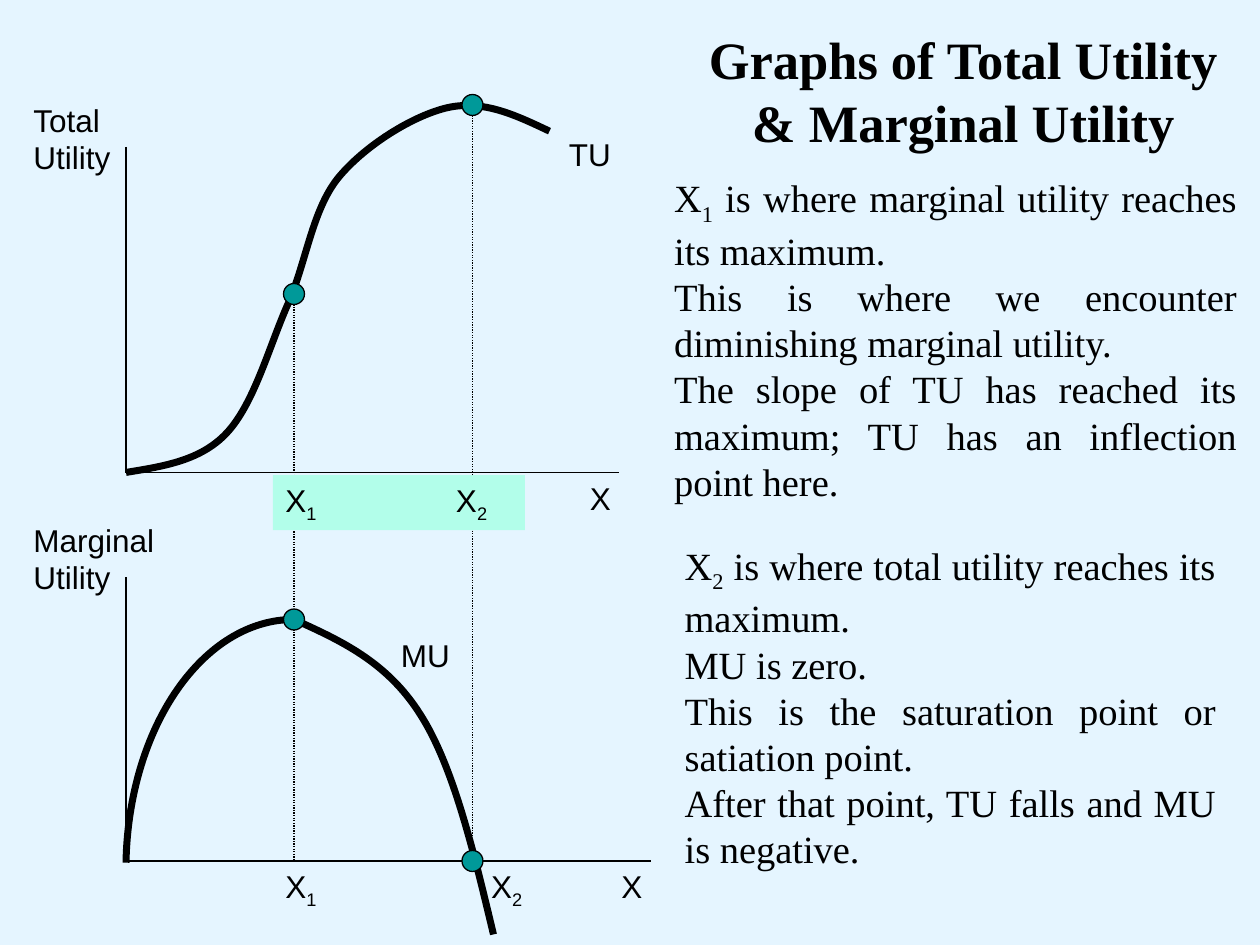
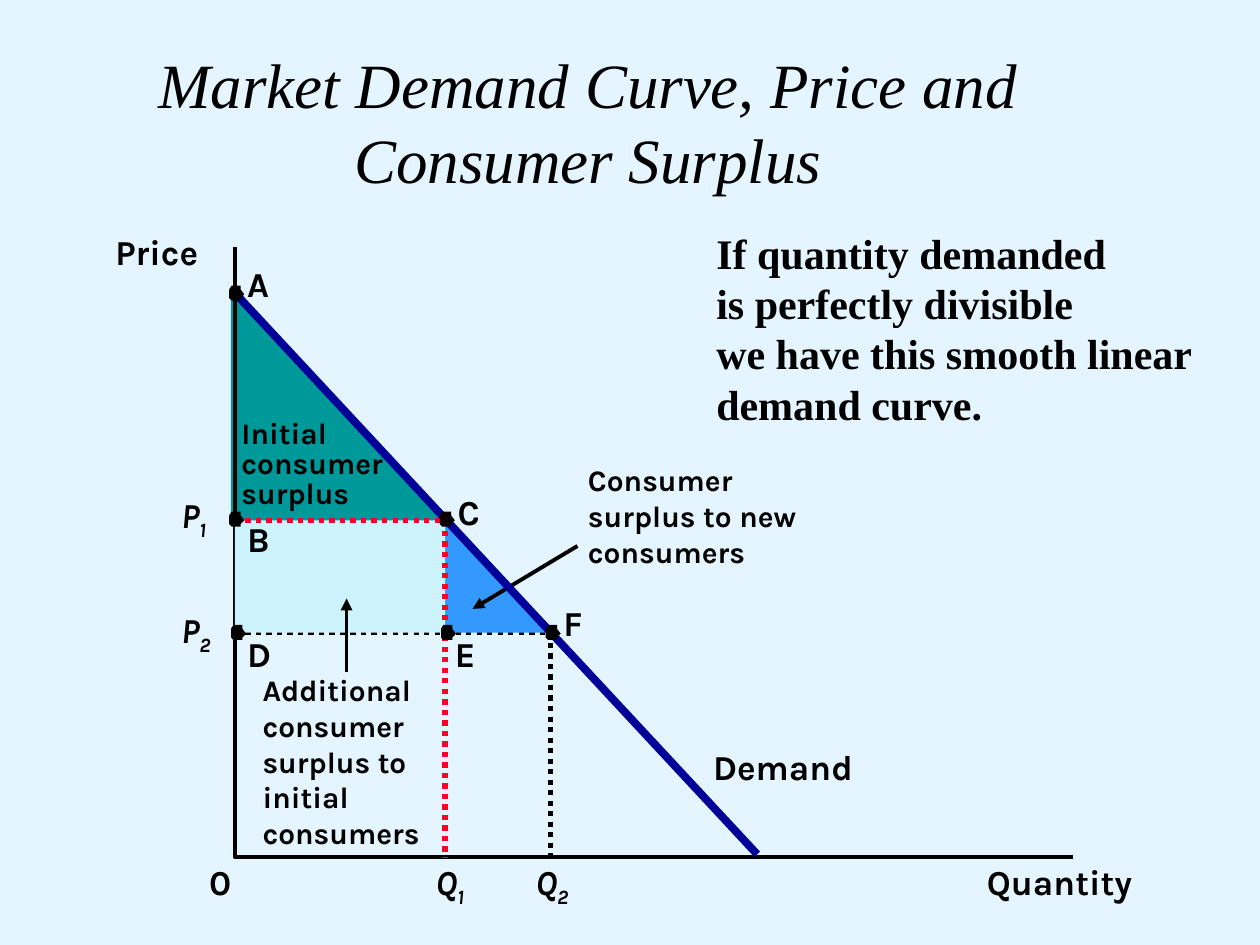
from dataclasses import dataclass

from lxml import etree
from pptx import Presentation
from pptx.dml.color import RGBColor
from pptx.enum import dml, shapes, text
from pptx.oxml import ns
from pptx.util import Pt

BLACK = RGBColor(0x00, 0x00, 0x00)
SKY = RGBColor(0xE5, 0xF5, 0xFF)
MINT = RGBColor(0xB2, 0xFE, 0xEA)
TEAL = RGBColor(0x00, 0x99, 0x99)
BLUE = RGBColor(0x33, 0x99, 0xFF)
PALE_BLUE = RGBColor(0xCD, 0xF3, 0xFF)
NAVY = RGBColor(0x00, 0x00, 0x99)
RED = RGBColor(0xFC, 0x01, 0x28)

Point = tuple[float, float]


@dataclass(frozen=True)
class Style:
    font: str
    size: float
    bold: bool = False
    italic: bool = False
    align: text.PP_ALIGN = text.PP_ALIGN.LEFT
    spacing: float = 1.0
    inset: tuple[float, float] = (7.2, 3.6)


@dataclass(frozen=True)
class Label:
    """Text at a place; "_" makes the next character a subscript."""
    lines: tuple[str, ...]
    left: float
    top: float
    width: float
    height: float
    style: Style
    wrap: bool = True
    tab: float = 0


@dataclass(frozen=True)
class Stroke:
    color: RGBColor
    width: float
    dotted: bool = False


SERIF = "Times New Roman"
BOLD_TITLE = Style(SERIF, 30, bold=True, align=text.PP_ALIGN.CENTER)
ITALIC_TITLE = Style(SERIF, 36, italic=True, align=text.PP_ALIGN.CENTER)
BODY = Style(SERIF, 22, align=text.PP_ALIGN.JUSTIFY)
REMARK = Style(SERIF, 24, bold=True)
GRAPH = Style("Arial", 18)
MARK = Style("Karla", 20, bold=True, inset=(0, 0))
VARIABLE = Style("Karla", 20, bold=True, italic=True, inset=(0, 0))
AREA = Style("Karla", 17, bold=True, inset=(0, 0))
TIGHT_AREA = Style("Karla", 17, bold=True, spacing=0.85, inset=(0, 0))

HAIRLINE = Stroke(BLACK, 0.75)
GUIDE = Stroke(BLACK, 0.75, dotted=True)
CURVE = Stroke(BLACK, 4)
AXIS = Stroke(BLACK, 2.25)


def add_span(para, content: str, style: Style, subscript: bool = False) -> None:
    span = para.add_run()
    span.text = content
    font = span.font
    font.name, font.size = style.font, Pt(style.size)
    font.bold, font.italic = style.bold, style.italic
    font.color.rgb = BLACK
    if subscript:
        span._r.get_or_add_rPr().set("baseline", "-25000")


def write(box, label: Label) -> None:
    style, frame = label.style, box.text_frame
    frame.word_wrap = label.wrap
    frame.margin_left = frame.margin_right = Pt(style.inset[0])
    frame.margin_top = frame.margin_bottom = Pt(style.inset[1])
    fit = text.MSO_AUTO_SIZE
    frame.auto_size = fit.NONE if label.wrap else fit.SHAPE_TO_FIT_TEXT
    for index, line in enumerate(label.lines):
        para = frame.add_paragraph() if index else frame.paragraphs[0]
        para.alignment, para.line_spacing = style.align, style.spacing
        if box.is_placeholder:
            para.space_before = Pt(0)
            properties = para._p.get_or_add_pPr()
            properties.set("marL", "0")
            properties.set("indent", "0")
            etree.SubElement(properties, ns.qn("a:buNone"))
        if label.tab:
            stops = etree.SubElement(para._p.get_or_add_pPr(), ns.qn("a:tabLst"))
            etree.SubElement(stops, ns.qn("a:tab"), pos=str(Pt(label.tab)), algn="l")
        first, *rest = line.split("_")
        if first:
            add_span(para, first, style)
        for part in rest:
            add_span(para, part[0], style, subscript=True)
            if part[1:]:
                add_span(para, part[1:], style)


def add_label(page, label: Label) -> None:
    write(page.shapes.add_textbox(
        Pt(label.left), Pt(label.top), Pt(label.width), Pt(label.height)), label)


def fill_placeholder(box, label: Label, anchor: text.MSO_ANCHOR) -> None:
    box.left, box.top = Pt(label.left), Pt(label.top)
    box.width, box.height = Pt(label.width), Pt(label.height)
    box.text_frame.vertical_anchor = anchor
    write(box, label)


def apply_stroke(line, stroke: Stroke) -> None:
    line.color.rgb, line.width = stroke.color, Pt(stroke.width)
    if stroke.dotted:
        line.dash_style = dml.MSO_LINE.ROUND_DOT


def paint(shape, fill: RGBColor | None, stroke: Stroke | None) -> None:
    shape.shadow.inherit = False
    if fill is None:
        shape.fill.background()
    else:
        shape.fill.solid()
        shape.fill.fore_color.rgb = fill
    if stroke is None:
        shape.line.fill.background()
    else:
        apply_stroke(shape.line, stroke)


def add_preset(page, kind, left: float, top: float, width: float, height: float,
               fill: RGBColor, stroke: Stroke | None = None):
    shape = page.shapes.add_shape(kind, Pt(left), Pt(top), Pt(width), Pt(height))
    paint(shape, fill, stroke)
    return shape


def add_line(page, start: Point, end: Point, stroke: Stroke, arrow: bool = False) -> None:
    line = page.shapes.add_connector(
        shapes.MSO_CONNECTOR.STRAIGHT, *(Pt(value) for value in start + end))
    apply_stroke(line.line, stroke)
    if arrow:
        etree.SubElement(line.line._get_or_add_ln(), ns.qn("a:tailEnd"), type="triangle")
    etree.SubElement(line._element.spPr, ns.qn("a:effectLst"))


def add_outline(page, points: list[Point], fill: RGBColor | None = None,
                stroke: Stroke | None = None):
    corners = [(Pt(x), Pt(y)) for x, y in points]
    builder = page.shapes.build_freeform(*corners[0])
    builder.add_line_segments(corners[1:], close=fill is not None)
    shape = builder.convert_to_shape()
    paint(shape, fill, stroke)
    return shape


def add_curve(page, nodes: list[Point], stroke: Stroke) -> None:
    """Draw cubic curves: a start, then two handles and an end for each curve."""
    shape = add_outline(page, nodes, stroke=stroke)
    segments = list(shape._element.iter(ns.qn("a:lnTo")))
    for first in range(0, len(segments), 3):
        cubic = etree.Element(ns.qn("a:cubicBezTo"))
        segments[first].addprevious(cubic)
        for segment in segments[first:first + 3]:
            cubic.append(segment[0])
            segment.getparent().remove(segment)


def build_utility_page(deck) -> None:
    page = deck.slides.add_slide(deck.slide_layouts[3])
    title, upper, lower = page.placeholders
    top = text.MSO_ANCHOR.TOP
    fill_placeholder(title, Label(("Graphs of Total Utility & Marginal Utility",),
                                  387, 12, 327, 79, BOLD_TITLE), top)
    fill_placeholder(upper, Label((
        "X_1 is where marginal utility reaches its maximum.",
        "This is where we encounter diminishing marginal utility.",
        "The slope of TU has reached its maximum; TU has an inflection point here.",
    ), 378, 96, 336, 196, BODY), top)
    fill_placeholder(lower, Label((
        "X_2 is where total utility reaches its maximum.",
        "MU is zero.",
        "This is the saturation point or satiation point.",
        "After that point, TU falls and MU is negative.",
    ), 384, 306, 318, 196, BODY), top)

    origin, x1, x2, total_base, marginal_base = 72, 168, 270, 270, 492
    for axis_top, base, right in ((84, total_base, 354), (330, marginal_base, 372)):
        add_line(page, (origin, axis_top), (origin, base), HAIRLINE)
        add_line(page, (origin, base), (right, base), HAIRLINE)
    for x, guide_top in ((x1, 168), (x2, 60)):
        add_line(page, (x, guide_top), (x, marginal_base), GUIDE)

    total_curve = [(72, 270), (93, 266.5), (114.5, 263.5), (129.5, 247.5),
                   (145, 231), (153.5, 199), (164, 175),
                   (175, 150.5), (178, 121), (193, 102),
                   (208, 83.5), (236, 66), (256, 61.5),
                   (276.5, 57), (295, 66), (314, 75)]
    marginal_rise = [(168, 354), (116, 354), (73.5, 415.5), (72, 493)]
    marginal_fall = [(168, 354), (194.5, 366), (221, 378), (240, 408),
                     (259, 437.5), (270.5, 486), (282, 534)]
    for nodes in (total_curve, marginal_rise, marginal_fall):
        add_curve(page, nodes, CURVE)

    band = Label(("X_1\tX_2",), 156, 271.5, 144, 31.5, GRAPH, tab=97.5)
    strip = add_preset(page, shapes.MSO_SHAPE.RECTANGLE,
                       band.left, band.top, band.width, band.height, MINT)
    strip.text_frame.vertical_anchor = top
    write(strip, band)
    for label in (
        Label(("X_1\tX_2",), 156, 492, 162, 31.5, GRAPH, tab=117.5),
        Label(("X",), 330, 270, 30, 29, GRAPH),
        Label(("X",), 348, 492, 30, 29, GRAPH),
        Label(("Total Utility",), 12, 54, 60, 50, GRAPH),
        Label(("Marginal Utility",), 12, 294, 84, 50, GRAPH),
        Label(("TU",), 318, 73.5, 42, 29, GRAPH),
        Label(("MU",), 222, 360, 46, 29, GRAPH),
    ):
        add_label(page, label)

    radius = 6
    for x, y in ((x1, 168), (x2, marginal_base), (x1, 354), (x2, 60)):
        add_preset(page, shapes.MSO_SHAPE.OVAL, x - radius, y - radius,
                   2 * radius, 2 * radius, TEAL, HAIRLINE)


def build_surplus_page(deck) -> None:
    page = deck.slides.add_slide(deck.slide_layouts[5])
    fill_placeholder(page.shapes.title, Label(
        ("Market Demand Curve, Price and Consumer Surplus",),
        30, 24, 612, 90, ITALIC_TITLE), text.MSO_ANCHOR.MIDDLE)

    axis, q1, q2 = 134.2, 254.4, 314.6
    p1, p2, base = 297.4, 361.5, 489.8
    add_outline(page, [(axis, p2), (q2, p2), (q2, base)], stroke=Stroke(BLACK, 3, True))
    add_outline(page, [(132, 168), (132, 299.5), (q1, 299.5)], TEAL)
    add_outline(page, [(axis, 141), (axis, base), (613.4, base)], stroke=AXIS)
    add_outline(page, [(q1, p1), (q1, p2), (q2, p2)], BLUE)
    add_preset(page, shapes.MSO_SHAPE.RECTANGLE, axis, p1, q1 - axis, p2 - p1, PALE_BLUE)
    add_line(page, (198, 384), (198, 342), AXIS, arrow=True)
    add_line(page, (330, 312), (270, 348), AXIS, arrow=True)
    add_outline(page, [(axis, p1), (q1, p1), (q1, base)], stroke=Stroke(RED, 3, True))
    add_line(page, (134.6, 167.8), (432.7, 488.2), Stroke(NAVY, 4.5))

    dot = [(3, 8.6), (6.5, 8.6), (6.5, 7.2), (8.6, 5), (6.5, 2.2), (6.5, 0),
           (3, 0), (1.4, 0), (0, 2.2), (0, 5), (0, 7.2), (1.4, 8.6)]
    for left, top in ((131, 163.2), (131, 292.3), (251.3, 292.3),
                      (132, 357.1), (252, 357.1), (311.8, 357.1)):
        add_outline(page, [(left + x, top + y) for x, y in dot], BLACK)

    for name, left, top, width in (
        ("Price", 66, 131.7, 50), ("Quantity", 564, 491.8, 89), ("0", 119.5, 491.8, 11.5),
        ("Demand", 407.5, 426, 84), ("A", 141.2, 149.8, 13.5), ("B", 141.2, 295.7, 13.5),
        ("C", 261.5, 280, 13), ("D", 141.2, 361.2, 15), ("E", 260, 361.2, 11.5),
        ("F", 322, 343.8, 11),
    ):
        add_label(page, Label((name,), left, top, width, 24, MARK, wrap=False))
    for name, left, top, width in (
        ("P_1", 103.5, 282, 19), ("P_2", 103.5, 348, 19),
        ("Q_1", 249, 491.8, 21), ("Q_2", 306, 491.8, 21),
    ):
        add_label(page, Label((name,), left, top, width, 27.5, VARIABLE, wrap=False))
    for label in (
        Label(("Initial", "consumer", "surplus"), 138, 240, 90, 52, TIGHT_AREA),
        Label(("Additional consumer surplus to initial consumers",),
              150, 384, 96, 102, AREA),
        Label(("Consumer surplus to new consumers",), 336, 264, 137, 61, AREA),
        Label(("If quantity demanded", "is perfectly divisible",
               "we have this smooth linear", "demand curve."),
              402.2, 126.2, 287, 122, REMARK, wrap=False),
    ):
        add_label(page, label)


def main() -> None:
    deck = Presentation()
    deck.slide_width, deck.slide_height = Pt(720), Pt(540)
    background = deck.slide_master.background.fill
    background.solid()
    background.fore_color.rgb = SKY
    build_utility_page(deck)
    build_surplus_page(deck)
    deck.save("out.pptx")


if __name__ == "__main__":
    main()
